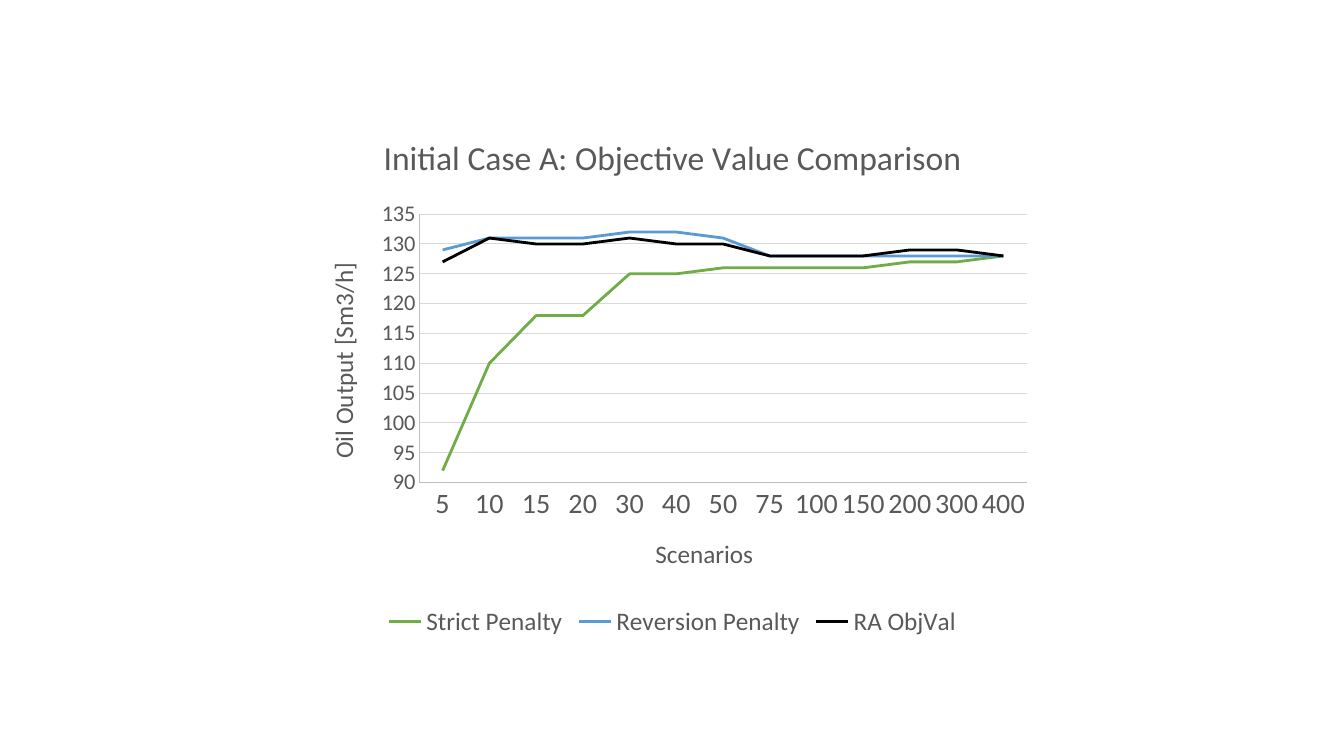
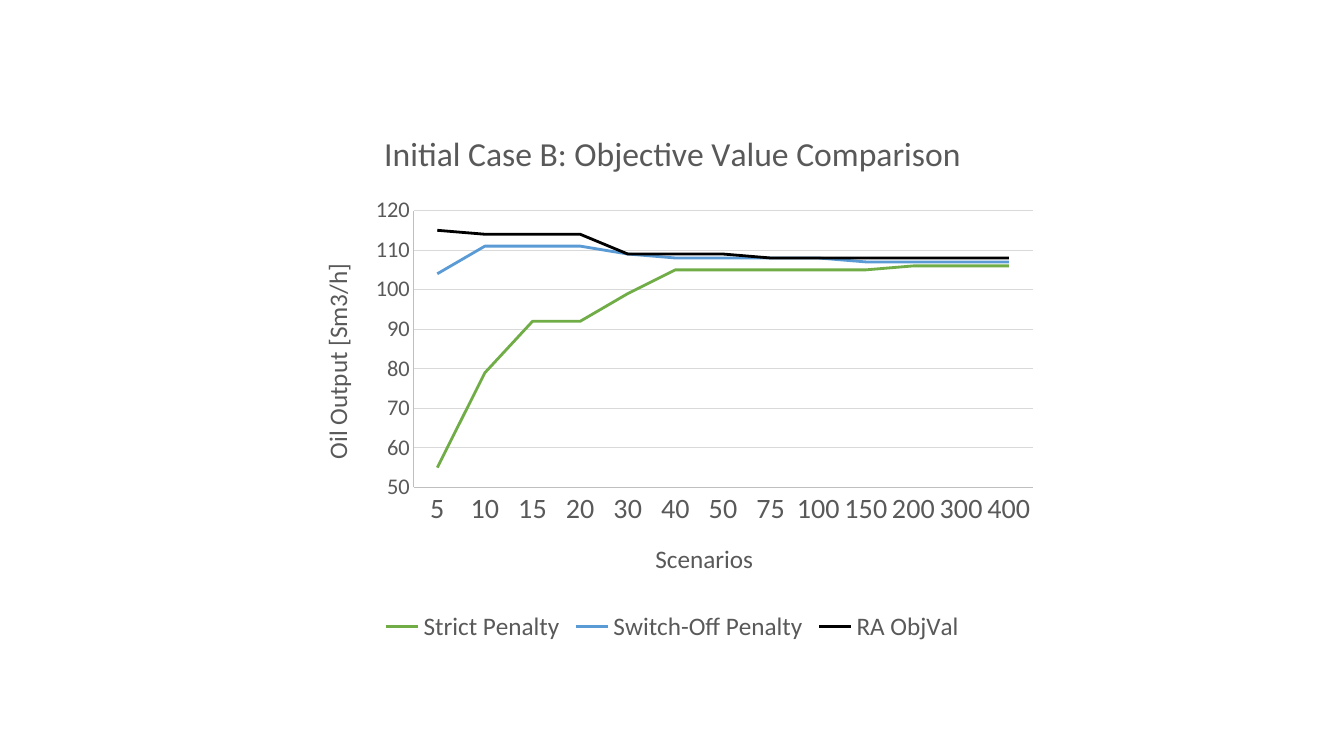
"""Two line-chart slides comparing objective values by scenario count."""
from dataclasses import dataclass

from pptx import Presentation
from pptx import util as u
from pptx.chart import data as chart_data
from pptx.dml import color
from pptx.enum import chart as kinds


@dataclass(frozen=True)
class Theme:
    """Colours, font and type sizes shared by the slides."""
    font: str = "Calibri"
    ink: str = "595959"
    axis: str = "BFBFBF"
    grid: str = "D9D9D9"
    series: tuple = ("70AD47", "5B9BD5", "000000")
    title: int = 24
    label: int = 18
    scenario: int = 20
    value: int = 16
    series_width: float = 2
    rule_width: float = 0.75


THEME = Theme()
SCENARIOS = ["5", "10", "15", "20", "30", "40", "50", "75",
             "100", "150", "200", "300", "400"]
CASES = [
    {"title": "Initial Case A: Objective Value Comparison",
     "box": (3.01, 1.12, 7.32, 5.25),
     "scale": {"minimum_scale": 90, "maximum_scale": 135, "major_unit": 5},
     "series": {
         "Strict Penalty": (92, 110, 118, 118, 125, 125, 126, 126, 126, 126, 127, 127, 128),
         "Reversion Penalty": (129, 131, 131, 131, 132, 132, 131, 128, 128, 128, 128, 128, 128),
         "RA ObjVal": (127, 131, 130, 130, 131, 130, 130, 128, 128, 128, 129, 129, 128)}},
    {"title": "Initial Case B: Objective Value Comparison",
     "box": (2.95, 1.08, 7.44, 5.34),
     "scale": {"minimum_scale": 50, "maximum_scale": 120, "major_unit": 10},
     "series": {
         "Strict Penalty": (55, 79, 92, 92, 99, 105, 105, 105, 105, 105, 106, 106, 106),
         "Switch-Off Penalty": (104, 111, 111, 111, 109, 108, 108, 108, 108, 107, 107, 107, 107),
         "RA ObjVal": (115, 114, 114, 114, 109, 109, 109, 108, 108, 108, 108, 108, 108)}},
]


def assign(target, values):
    """Set each named attribute on the target."""
    for name, value in values.items():
        setattr(target, name, value)


def style_font(font, size):
    """Apply the theme typeface and text colour at a size."""
    assign(font, {"name": THEME.font, "size": u.Pt(size), "bold": False})
    font.color.rgb = color.RGBColor.from_string(THEME.ink)


def style_line(line, shade, width):
    """Draw a solid line in a colour and width."""
    line.color.rgb = color.RGBColor.from_string(shade)
    line.width = u.Pt(width)


def write_title(title, words, size):
    """Write a chart or axis title as one styled run."""
    span = title.text_frame.paragraphs[0].add_run()
    span.text = words
    style_font(span.font, size)


def style_axis(axis, words, size):
    """Format an axis with its title, labels and line."""
    assign(axis, {"has_title": True,
                  "major_tick_mark": kinds.XL_TICK_MARK.NONE,
                  "minor_tick_mark": kinds.XL_TICK_MARK.NONE})
    write_title(axis.axis_title, words, THEME.label)
    style_font(axis.tick_labels.font, size)
    style_line(axis.format.line, THEME.axis, THEME.rule_width)


def style_value_axis(axis, scale):
    """Format the oil output axis, its scale and gridlines."""
    style_axis(axis, "Oil Output [Sm3/h]", THEME.value)
    assign(axis, {**scale, "has_major_gridlines": True})
    style_line(axis.major_gridlines.format.line, THEME.grid, THEME.rule_width)
    body = axis.axis_title.text_frame._txBody.bodyPr
    body.set("rot", "-5400000")
    body.set("vert", "horz")


def style_legend(chart):
    """Place the legend below the plot."""
    chart.has_legend = True
    assign(chart.legend, {"position": kinds.XL_LEGEND_POSITION.BOTTOM,
                          "include_in_layout": False})
    style_font(chart.legend.font, THEME.label)


def add_comparison(page, box, case):
    """Place one objective value line chart in a box."""
    data = chart_data.CategoryChartData(number_format="General")
    data.categories = SCENARIOS
    for name, values in case["series"].items():
        data.add_series(name, values)
    chart = page.shapes.add_chart(kinds.XL_CHART_TYPE.LINE, *box, data).chart
    style_font(chart.font, 10)
    chart.has_title = True
    write_title(chart.chart_title, case["title"], THEME.title)
    style_axis(chart.category_axis, "Scenarios", THEME.scenario)
    style_value_axis(chart.value_axis, case["scale"])
    style_legend(chart)
    chart.plots[0].vary_by_categories = False
    for series, shade in zip(chart.plots[0].series, THEME.series):
        series.smooth = False
        style_line(series.format.line, shade, THEME.series_width)


def build():
    """Build and save the deck."""
    deck = Presentation()
    assign(deck, {"slide_width": u.Inches(13.33), "slide_height": u.Inches(7.5)})
    blank = deck.slide_layouts.get_by_name("Blank")
    for case in CASES:
        page = deck.slides.add_slide(blank)
        add_comparison(page, [u.Inches(length) for length in case["box"]], case)
    deck.save("out.pptx")


build()
